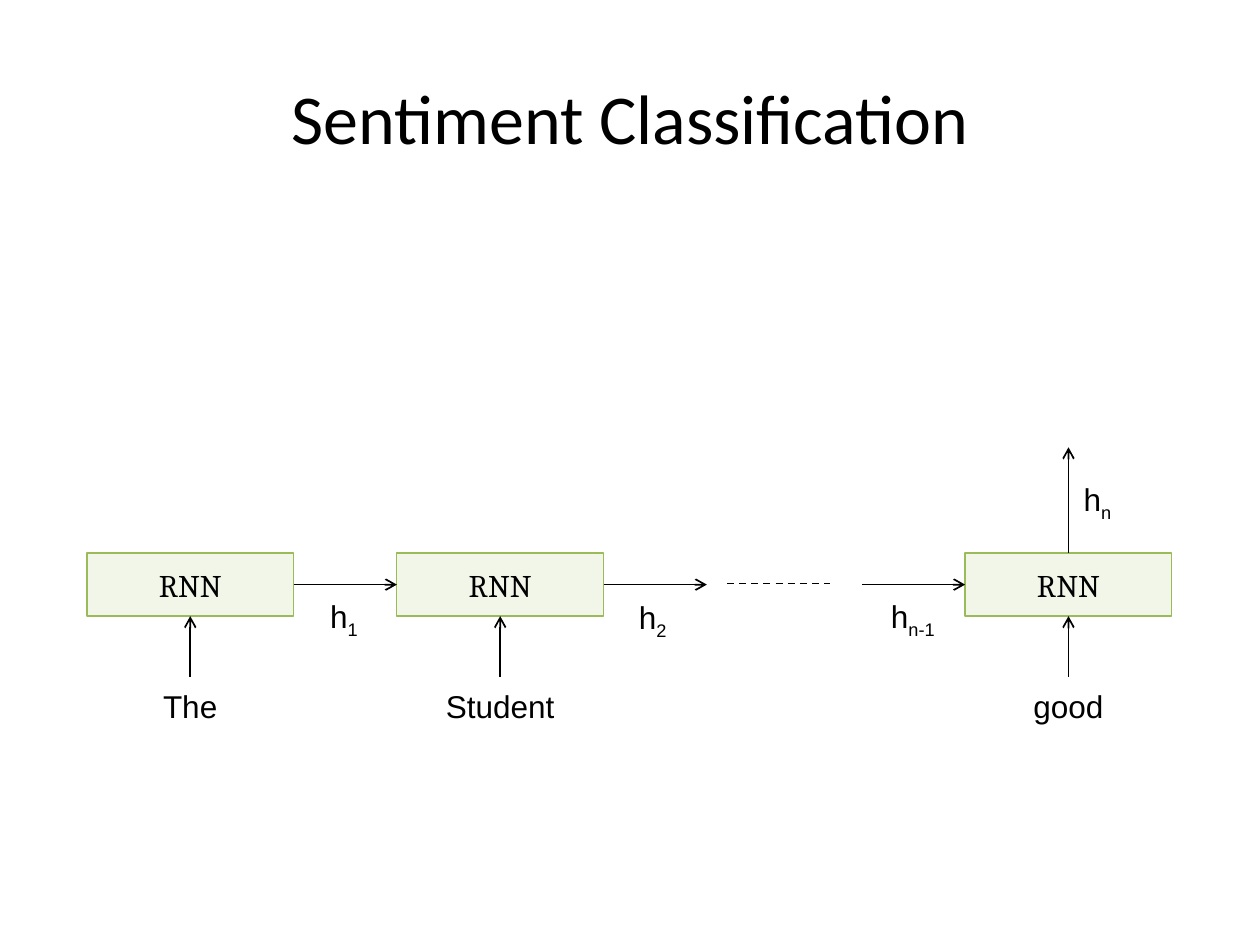
from lxml import etree
from pptx import Presentation
from pptx.dml.color import RGBColor
from pptx.enum.dml import MSO_LINE
from pptx.enum.shapes import MSO_CONNECTOR, MSO_SHAPE
from pptx.enum.text import MSO_ANCHOR, MSO_AUTO_SIZE, PP_ALIGN
from pptx.oxml.ns import qn
from pptx.util import Inches, Pt


def rgb(value):
    return RGBColor.from_string(value)


class Deck:
    INK, FILL, EDGE = "000000", "D7E4BD", "9BBB59"
    BODY, BOX, HEAD = "Arial", "Cambria", "Calibri"

    def __init__(self, width, height):
        self.prs = Presentation()
        self.prs.slide_width = Inches(width)
        self.prs.slide_height = Inches(height)
        self.s = self.prs.slides.add_slide(self.prs.slide_layouts[5])

    def format(self, p, font, size=18):
        p.alignment = PP_ALIGN.CENTER
        for r in p.runs:
            r.font.name = font
            r.font.size = Pt(size)
            r.font.color.rgb = rgb(self.INK)

    def title(self, text, x, y, w, h):
        sp = self.s.shapes.title
        sp.left, sp.top, sp.width, sp.height = map(Inches, (x, y, w, h))
        tf = sp.text_frame
        tf.text = text
        tf.vertical_anchor = MSO_ANCHOR.MIDDLE
        self.format(tf.paragraphs[0], self.HEAD, 40)

    def box(self, text, x, y, w, h):
        sp = self.s.shapes.add_shape(MSO_SHAPE.RECTANGLE, *map(Inches, (x, y, w, h)))
        sp.shadow.inherit = False
        sp.fill.solid()
        sp.fill.fore_color.rgb = rgb(self.FILL)
        color = sp.fill._xPr.find(qn("a:solidFill"))[0]
        etree.SubElement(color, qn("a:alpha"), val="33000")
        sp.line.color.rgb = rgb(self.EDGE)
        sp.line.width = Pt(0.75)
        tf = sp.text_frame
        tf.text = text
        tf.vertical_anchor = MSO_ANCHOR.MIDDLE
        self.format(tf.paragraphs[0], self.BOX)

    def label(self, text, x, y, w, sub=""):
        sp = self.s.shapes.add_textbox(*map(Inches, (x, y, w, 0.4)))
        tf = sp.text_frame
        tf.text = text
        tf.word_wrap = False
        tf.auto_size = MSO_AUTO_SIZE.SHAPE_TO_FIT_TEXT
        p = tf.paragraphs[0]
        if sub:
            r = p.add_run()
            r.text = sub
            r.font._element.set("baseline", "-25000")
        self.format(p, self.BODY)

    def line(self, x1, y1, x2, y2, dashed=False):
        c = self.s.shapes.add_connector(MSO_CONNECTOR.STRAIGHT, *map(Inches, (x1, y1, x2, y2)))
        c.line.color.rgb = rgb(self.INK)
        c.line.width = Pt(1)
        if dashed:
            c.line.dash_style = MSO_LINE.DASH
        else:
            etree.SubElement(c.line._get_or_add_ln(), qn("a:tailEnd"), type="arrow")
        etree.SubElement(c._element.spPr, qn("a:effectLst"))


BOX_W, BOX_H, BOX_Y = 1.64, 0.5, 4.39
MID_Y, BOTTOM = BOX_Y + BOX_H / 2, BOX_Y + BOX_H
ARROW = 0.82

deck = Deck(10, 7.5)
deck.title("Sentiment Classification", 0.5, 0.3, 9, 1.25)

for word, x, word_w in (("The", 0.69, 0.7), ("Student", 3.15, 1.07), ("good", 7.66, 0.8)):
    center = x + BOX_W / 2
    deck.box("RNN", x, BOX_Y, BOX_W, BOX_H)
    deck.line(center, 5.37, center, BOTTOM)
    deck.label(word, center - word_w / 2, 5.4, word_w)

for sub, x, label_x, label_y, label_w in (
    ("1", 2.33, 2.49, 4.69, 0.48),
    ("2", 4.79, 4.94, 4.7, 0.48),
    ("n-1", 6.84, 6.93, 4.69, 0.63),
):
    deck.line(x, MID_Y, x + ARROW, MID_Y)
    deck.label("h", label_x, label_y, label_w, sub)

deck.line(5.77, 4.63, 5.77 + ARROW, 4.63, dashed=True)
deck.line(8.48, BOX_Y, 8.48, 3.55)
deck.label("h", 8.47, 3.76, 0.48, "n")

deck.prs.save("out.pptx")
